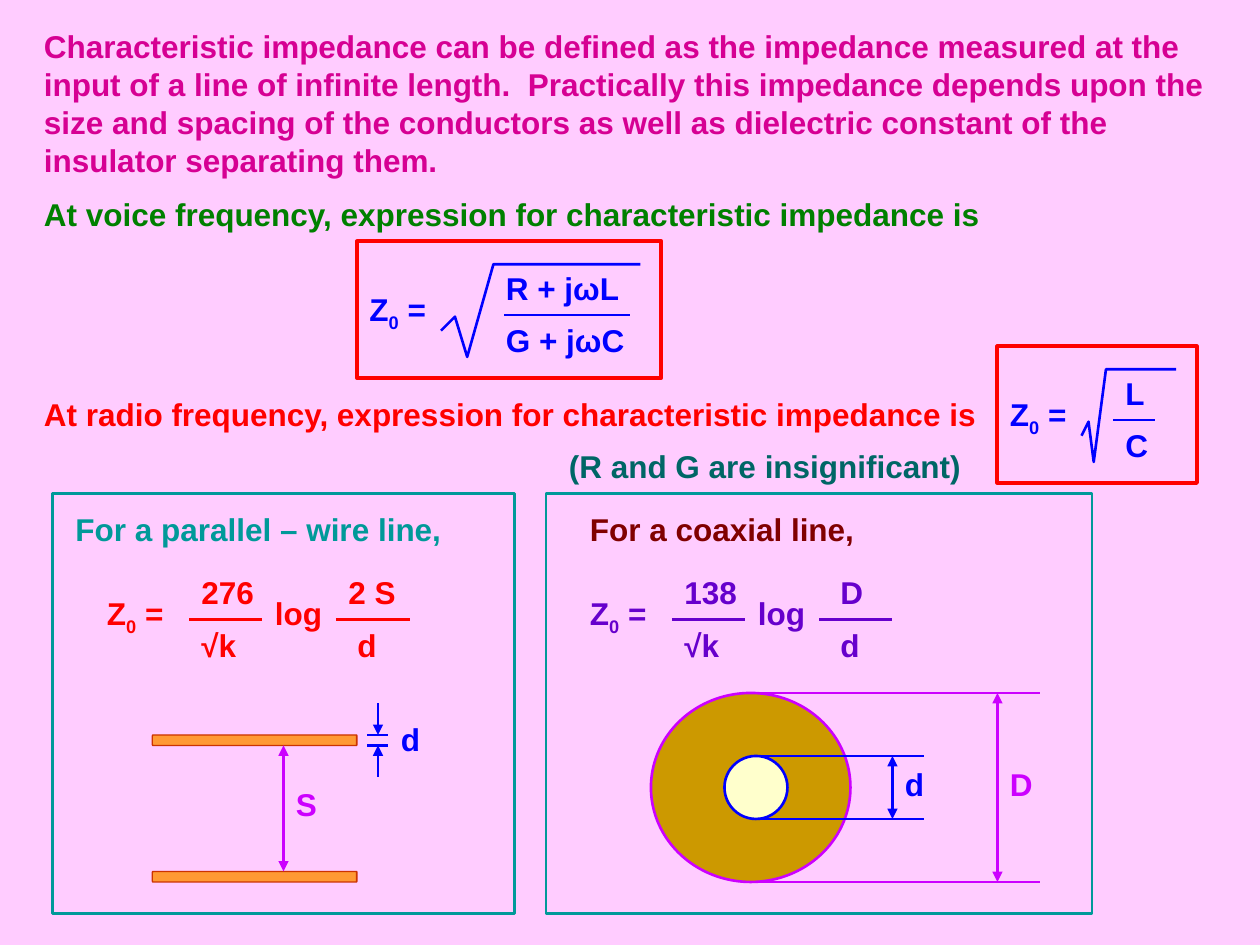
from lxml.etree import SubElement
from pptx import Presentation
from pptx.dml.color import RGBColor
from pptx.enum.shapes import MSO_CONNECTOR as Link, MSO_SHAPE as Kind
from pptx.oxml.ns import qn
from pptx.util import Pt

PINK = RGBColor(0xFF, 0xCC, 0xFF)
ROSE = RGBColor(0xD6, 0x00, 0x93)
GREEN = RGBColor(0x00, 0x80, 0x00)
RED = RGBColor(0xFF, 0x00, 0x00)
BLUE = RGBColor(0x00, 0x00, 0xFF)
PINE = RGBColor(0x00, 0x66, 0x66)
TEAL = RGBColor(0x00, 0x99, 0x99)
MAROON = RGBColor(0x80, 0x00, 0x00)
PURPLE = RGBColor(0x66, 0x00, 0xCC)
VIOLET = RGBColor(0xCC, 0x00, 0xFF)
BRONZE = RGBColor(0xCC, 0x99, 0x00)
CREAM = RGBColor(0xFF, 0xFF, 0xCC)
ORANGE = RGBColor(0xFF, 0x99, 0x33)
RUST = RGBColor(0xCC, 0x33, 0x00)

INTRO = (
    "Characteristic impedance can be defined as the impedance measured at the "
    "input of a line of infinite length.  Practically this impedance depends "
    "upon the size and spacing of the conductors as well as dielectric constant "
    "of the insulator separating them."
)
PAD = 7.2
SHIFT = 5
# Corners of the root sign as shares of its width and height
ROOT = [(0, 0.71), (0.07, 0.575), (0.13, 1), (0.265, 0), (1, 0)]
ROOT_H = 52.6


def style(run, color):
    font = run.font
    font.name, font.size, font.bold = "Arial", Pt(18), True
    font.color.rgb = color


def add_text(shapes, text, x, y, w, color, h=29, shift=0):
    """Add a text box; shift moves the text right inside it."""
    box = shapes.add_textbox(Pt(x), Pt(y), Pt(w), Pt(h))
    frame = box.text_frame
    frame.word_wrap = True
    frame.margin_left = Pt(PAD + shift)
    frame.text = text
    style(frame.paragraphs[0].runs[0], color)


def add_z(shapes, x, y, w, color):
    """Add the left-hand side of a formula, with its subscript zero."""
    box = shapes.add_textbox(Pt(x), Pt(y), Pt(w), Pt(32))
    frame = box.text_frame
    frame.word_wrap = True
    for part in ("Z", "0", " ="):
        run = frame.paragraphs[0].add_run()
        run.text = part
        style(run, color)
        if part == "0":
            run._r.get_or_add_rPr().set("baseline", "-25000")


def add_line(shapes, x1, y1, x2, y2, color, heads=()):
    """Add a line; heads may name headEnd (start) and tailEnd (end)."""
    line = shapes.add_connector(Link.STRAIGHT, Pt(x1), Pt(y1), Pt(x2), Pt(y2))
    line.line.color.rgb = color
    line.line.width = Pt(1.5)
    for end in heads:
        SubElement(line.line._get_or_add_ln(), qn("a:" + end), type="triangle")
    SubElement(line._element.spPr, qn("a:effectLst"))


def paint(shape, fill, edge, width):
    shape.shadow.inherit = False
    if fill is None:
        shape.fill.background()
    else:
        shape.fill.solid()
        shape.fill.fore_color.rgb = fill
    shape.line.color.rgb = edge
    shape.line.width = Pt(width)


def add_shape(shapes, kind, x, y, w, h, fill, edge, width=1.5):
    shape = shapes.add_shape(kind, Pt(x), Pt(y), Pt(w), Pt(h))
    paint(shape, fill, edge, width)
    return shape


def add_root(shapes, x, y, w):
    first, *rest = [(x + w * a, y + ROOT_H * b) for a, b in ROOT]
    path = shapes.build_freeform(*first, scale=Pt(1))
    path.add_line_segments(rest, close=False)
    paint(path.convert_to_shape(), None, BLUE, 1.5)


def add_root_formula(slide, x, y, root_w, bar_x, bar_w, term_x, term_w, terms):
    """Add a framed Z0 = root of a fraction; bar_x, term_x count from x."""
    shapes = slide.shapes.add_group_shape().shapes
    add_shape(shapes, Kind.RECTANGLE, x, y, root_w + 60, 78, PINK, RED, 2.25)
    add_z(shapes, x, y + 24, 54, BLUE)
    add_root(shapes, x + 48, y + 13.2, root_w)
    add_line(shapes, x + bar_x, y + 42, x + bar_x + bar_w, y + 42, BLUE)
    for text, drop in zip(terms, (12, 42)):
        add_text(shapes, text, x + term_x, y + drop, term_w, BLUE)


def add_fraction(shapes, x, top, base, color, shifts):
    add_line(shapes, x, 354, x + 42, 354, color)
    add_text(shapes, top, x, 324, 54, color, shift=shifts[0])
    add_text(shapes, base, x, 354, 42, color, shift=shifts[1])


def add_log_formula(slide, x, factor, ratio_top, color, shift):
    shapes = slide.shapes.add_group_shape().shapes
    add_z(shapes, x, 336, 48, color)
    add_fraction(shapes, x + 54, factor, "√k", color, (0, 0))
    add_text(shapes, "log", x + 96, 336, 42, color)
    add_fraction(shapes, x + 138, ratio_top, "d", color, (shift, SHIFT))


def add_span(slide, name, x, top, base, label_y, color):
    """Add a labelled two-headed vertical arrow; return its group's shapes."""
    shapes = slide.shapes.add_group_shape().shapes
    add_line(shapes, x, top, x, base, color, ("headEnd", "tailEnd"))
    add_text(shapes, name, x, label_y, 30, color)
    return shapes


def draw_wires(slide):
    for y in (423, 501):
        rod = add_shape(slide.shapes, Kind.CAN, 142.5, y - 58.5, 6, 117,
                        ORANGE, RUST, 0.75)
        rod.rotation = 90
        rod.adjustments[0] = 0.05
    shapes = slide.shapes.add_group_shape().shapes
    add_text(shapes, "d", 222, 408, 24, BLUE)
    for start, edge in ((402, 420), (444, 426)):
        add_line(shapes, 210, edge, 222, edge, BLUE)
        add_line(shapes, 216, start, 216, edge, BLUE, ("tailEnd",))
    add_span(slide, "S", 162, 426, 498, 445, VIOLET)


def draw_coax(slide):
    add_shape(slide.shapes, Kind.OVAL, 372, 396, 114, 108, BRONZE, VIOLET)
    add_shape(slide.shapes, Kind.OVAL, 414, 432, 36, 36, CREAM, BLUE)
    for name, x, top, base, end, color in (
        ("d", 510, 432, 468, 528, BLUE),
        ("D", 570, 396, 504, 594, VIOLET),
    ):
        shapes = add_span(slide, name, x, top, base, 433.5, color)
        for y in (top, base):
            add_line(shapes, 432, y, end, y, color)


def main():
    deck = Presentation()
    deck.slide_width, deck.slide_height = Pt(720), Pt(540)
    slide = deck.slides.add_slide(deck.slide_layouts[6])
    slide.background.fill.solid()
    slide.background.fill.fore_color.rgb = PINK

    lead = "expression for characteristic impedance is"
    add_text(slide.shapes, INTRO, 18, 12, 678, ROSE, h=94)
    for text, x, y, w, color in (
        (f"At voice frequency, {lead}", 18, 108, 552, GREEN),
        (f"At radio frequency, {lead}", 18, 222, 552, RED),
        ("(R and G are insignificant)", 318, 252, 240, PINE),
        ("For a parallel – wire line,", 36, 288, 228, TEAL),
        ("For a coaxial line,", 330, 288, 168, MAROON),
    ):
        add_text(slide.shapes, text, x, y, w, color)

    add_root_formula(slide, 204, 138, 114, 84, 72, 78, 90, ("R + jωL", "G + jωC"))
    add_root_formula(slide, 570, 198, 54, 66, 24, 66, 30, ("L", "C"))
    add_log_formula(slide, 54, "276", "2 S", RED, 0)
    add_log_formula(slide, 330, "138", "D", PURPLE, SHIFT)
    draw_coax(slide)
    draw_wires(slide)
    for x, w in ((30, 264), (312, 312)):
        add_shape(slide.shapes, Kind.RECTANGLE, x, 282, w, 240, None, TEAL)
    deck.save("out.pptx")


if __name__ == "__main__":
    main()
